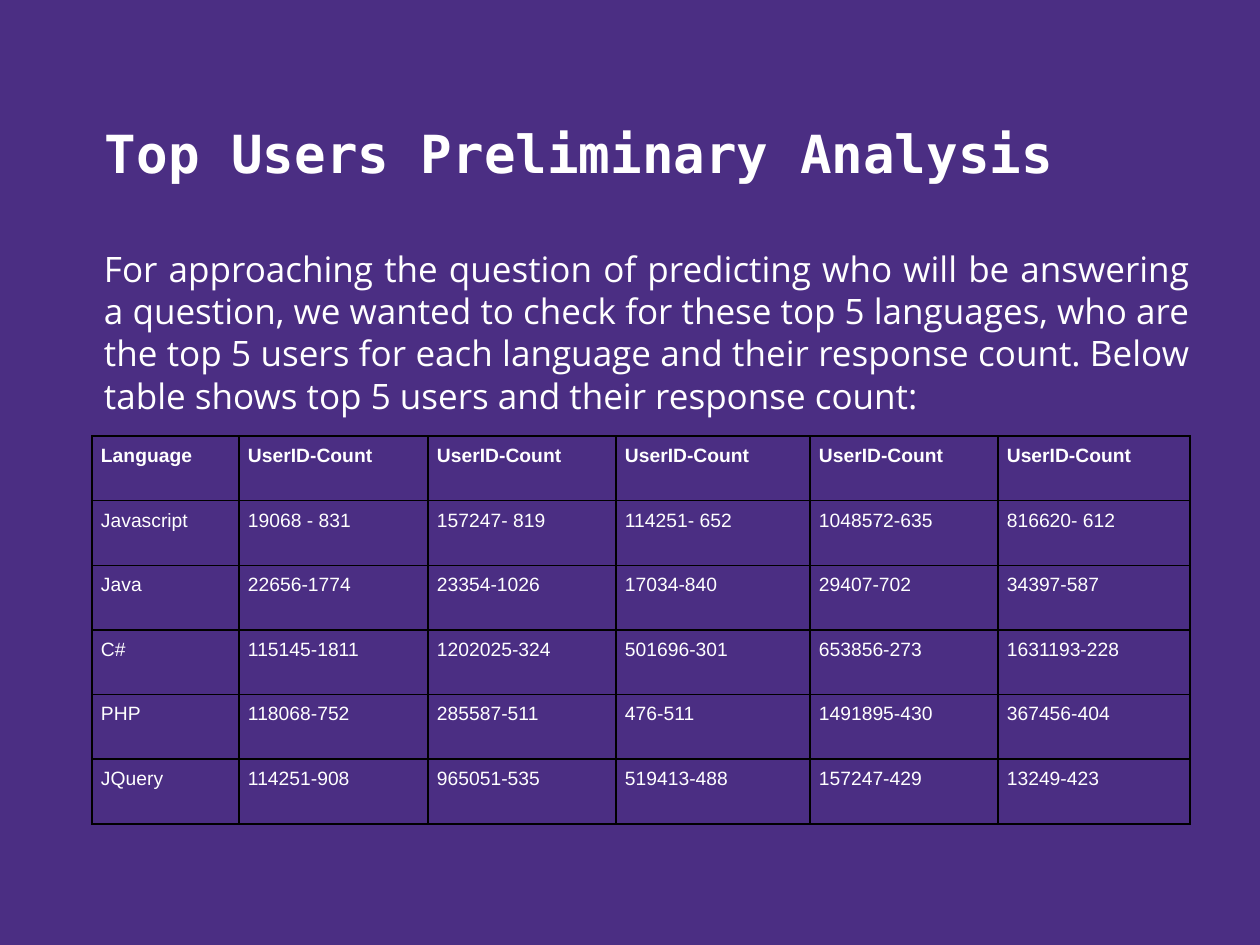
import lxml.etree
import pptx
import pptx.dml.color
import pptx.enum.text
import pptx.oxml.ns
import pptx.util

PX_PER_INCH = 126
PURPLE = pptx.dml.color.RGBColor(0x4B, 0x2E, 0x83)
WHITE = pptx.dml.color.RGBColor(0xFF, 0xFF, 0xFF)
BLACK = pptx.dml.color.RGBColor(0x00, 0x00, 0x00)

TITLE = "Top Users Preliminary Analysis"
INTRODUCTION = (
    "For approaching the question of predicting who will be answering a question, "
    "we wanted to check for these top 5 languages, who are the top 5 users for each "
    "language and their response count. Below table shows top 5 users and their "
    "response count:"
)
COLUMN_WIDTHS = [147, 189, 188, 194, 188, 192]
ROWS = [
    ["Language"] + ["UserID-Count"] * 5,
    ["Javascript", "19068 - 831", "157247- 819", "114251- 652", "1048572-635", "816620- 612"],
    ["Java", "22656-1774", "23354-1026", "17034-840", "29407-702", "34397-587"],
    ["C#", "115145-1811", "1202025-324", "501696-301", "653856-273", "1631193-228"],
    ["PHP", "118068-752", "285587-511", "476-511", "1491895-430", "367456-404"],
    ["JQuery", "114251-908", "965051-535", "519413-488", "157247-429", "13249-423"],
]


def px(length):
    return pptx.util.Emu(round(length * 914400 / PX_PER_INCH))


def set_font(paragraph, name, size, bold=False):
    font = paragraph.font
    font.name = name
    font.size = pptx.util.Pt(size)
    font.bold = bold
    font.color.rgb = WHITE


def set_margins(target, left, top, right, bottom):
    target.margin_left, target.margin_top = px(left), px(top)
    target.margin_right, target.margin_bottom = px(right), px(bottom)


def add_text(slide, box, text, margins):
    shape = slide.shapes.add_textbox(*map(px, box))
    frame = shape.text_frame
    frame.word_wrap = True
    set_margins(frame, *margins)
    frame.text = text
    return frame


def add_title(slide, box):
    frame = add_text(slide, box, TITLE, (13, 6, 13, 4))
    frame.vertical_anchor = pptx.enum.text.MSO_ANCHOR.BOTTOM
    set_font(frame.paragraphs[0], "DejaVu Sans Mono", 30, bold=True)


def add_introduction(slide, box):
    frame = add_text(slide, box, INTRODUCTION, (13, 9, 13, 6))
    paragraph = frame.paragraphs[0]
    paragraph.alignment = pptx.enum.text.PP_ALIGN.JUSTIFY
    paragraph.line_spacing = pptx.util.Pt(24)
    set_font(paragraph, "Open Sans", 20)


def add_borders(cell):
    properties = cell._tc.get_or_add_tcPr()
    qn = pptx.oxml.ns.qn
    for position, side in enumerate(("a:lnL", "a:lnR", "a:lnT", "a:lnB")):
        line = lxml.etree.Element(qn(side), w=str(pptx.util.Pt(1)))
        fill = lxml.etree.SubElement(line, qn("a:solidFill"))
        lxml.etree.SubElement(fill, qn("a:srgbClr"), val=str(BLACK))
        properties.insert(position, line)


def add_user_table(slide, box):
    height = box[3]
    shape = slide.shapes.add_table(len(ROWS), len(COLUMN_WIDTHS), *map(px, box))
    table = shape.table
    table.horz_banding = False
    for column, width in zip(table.columns, COLUMN_WIDTHS):
        column.width = px(width)
    for row_index, values in enumerate(ROWS):
        table.rows[row_index].height = px(height / len(ROWS))
        for column_index, value in enumerate(values):
            cell = table.cell(row_index, column_index)
            cell.text = value
            cell.fill.solid()
            cell.fill.fore_color.rgb = PURPLE
            set_margins(cell, 9, 9, 9, 9)
            set_font(cell.text_frame.paragraphs[0], "Arial", 11, bold=row_index == 0)
            add_borders(cell)


def main():
    presentation = pptx.Presentation()
    presentation.slide_width = px(1260)
    presentation.slide_height = px(945)
    slide = presentation.slides.add_slide(presentation.slide_layouts[6])
    slide.background.fill.solid()
    slide.background.fill.fore_color.rgb = PURPLE
    add_introduction(slide, (91, 239, 1112, 553))
    add_title(slide, (92, 52, 1111, 136))
    add_user_table(slide, (92, 436, sum(COLUMN_WIDTHS), 388))
    presentation.save("out.pptx")


if __name__ == "__main__":
    main()
